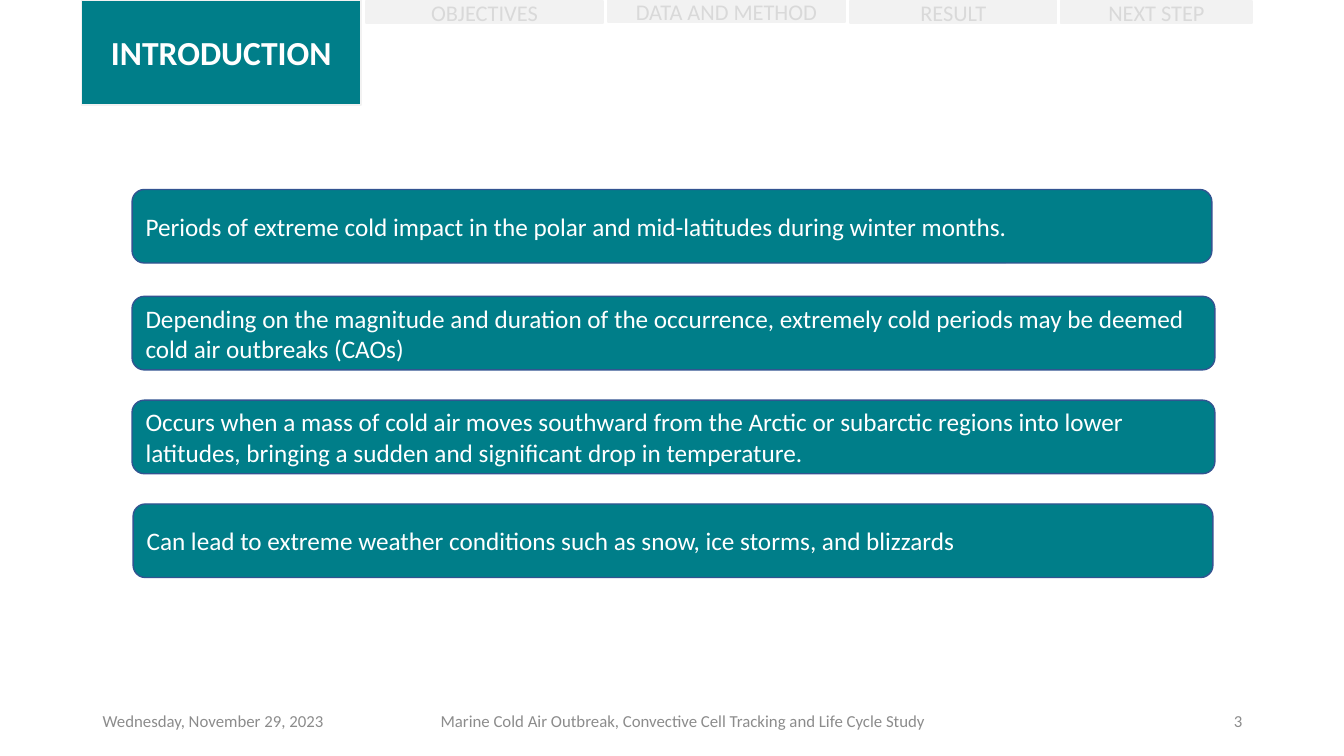
from lxml import etree
from pptx import Presentation
from pptx.dml.color import RGBColor
from pptx.enum.shapes import MSO_SHAPE
from pptx.enum.text import MSO_ANCHOR, MSO_AUTO_SIZE, PP_ALIGN
from pptx.oxml.ns import qn
from pptx.util import Pt

PX = 9144  # 100 px to the inch
LEFT, CENTER, RIGHT = PP_ALIGN.LEFT, PP_ALIGN.CENTER, PP_ALIGN.RIGHT
MIDDLE = MSO_ANCHOR.MIDDLE
RECTANGLE, ROUNDED = MSO_SHAPE.RECTANGLE, MSO_SHAPE.ROUNDED_RECTANGLE

TEAL = RGBColor(0x00, 0x7E, 0x89)
NAVY = RGBColor(0x32, 0x54, 0x91)
PALE = RGBColor(0xF2, 0xF2, 0xF2)
SILVER = RGBColor(0xD9, 0xD9, 0xD9)
GRAY = RGBColor(0x8C, 0x8C, 0x8C)
WHITE = RGBColor(0xFF, 0xFF, 0xFF)


def write(box, text, size, color, align):
    frame = box.text_frame
    frame.text = text
    frame.word_wrap = True
    frame.auto_size = MSO_AUTO_SIZE.NONE
    frame.vertical_anchor = MIDDLE
    paragraph = frame.paragraphs[0]
    paragraph.alignment = align
    font = paragraph.runs[0].font
    font.name = "Calibri"
    font.size = Pt(size)
    font.color.rgb = color
    return font


def paint(box, fill, line):
    box.fill.solid()
    box.fill.fore_color.rgb = fill
    box.line.color.rgb = line
    box.line.width = Pt(1)


deck = Presentation()
deck.slide_width, deck.slide_height = 1333 * PX, 750 * PX
page = deck.slides.add_slide(deck.slide_layouts[5])
shapes = page.shapes

# Footer
for text, left, width, align in [
    ("Wednesday, November 29, 2023", 92, 300, LEFT),
    ("Marine Cold Air Outbreak, Convective Cell Tracking and Life Cycle Study", 421, 513, CENTER),
    ("3", 942, 300, RIGHT),
]:
    box = shapes.add_textbox(left * PX, 695 * PX, width * PX, 40 * PX)
    write(box, text, 12, GRAY, align)

# Navigation tabs
for text, left, top, width in [
    ("OBJECTIVES", 363, 1, 235),
    ("DATA AND METHOD", 603, 0, 235),
    ("RESULT", 843, 1, 205),
    ("NEXT STEP", 1052, 1, 190),
]:
    tab = shapes.add_shape(RECTANGLE, left * PX, top * PX, width * PX, 22 * PX)
    tab.shadow.inherit = False
    paint(tab, PALE, PALE)
    write(tab, text, 16, SILVER, CENTER)
    if text == "DATA AND METHOD":
        properties = tab.text_frame.paragraphs[0].runs[0].font.fill._xPr
        outline = etree.Element(qn("a:ln"), w=str(Pt(0.75)))
        solid = etree.SubElement(outline, qn("a:solidFill"))
        etree.SubElement(solid, qn("a:srgbClr"), val=str(SILVER))
        properties.insert(0, outline)

# Active tab
title = shapes.title
title.left, title.top, title.width, title.height = 81 * PX, 0, 277 * PX, 104 * PX
paint(title, TEAL, PALE)
write(title, "INTRODUCTION", 24, WHITE, CENTER).bold = True

# Key points
for text, left, top, width in [
    ("Periods of extreme cold impact in the polar and mid-latitudes during winter months.",
     131, 188, 1071),
    ("Depending on the magnitude and duration of the occurrence, extremely cold periods "
     "may be deemed cold air outbreaks (CAOs)", 131, 294, 1074),
    ("Occurs when a mass of cold air moves southward from the Arctic or subarctic regions "
     "into lower latitudes, bringing a sudden and significant drop in temperature.",
     131, 397, 1074),
    ("Can lead to extreme weather conditions such as snow, ice storms, and blizzards",
     132, 500, 1071),
]:
    point = shapes.add_shape(ROUNDED, left * PX, top * PX, width * PX, 73 * PX)
    point.shadow.inherit = False
    paint(point, TEAL, NAVY)
    write(point, text, 18, WHITE, LEFT)

deck.save("out.pptx")
